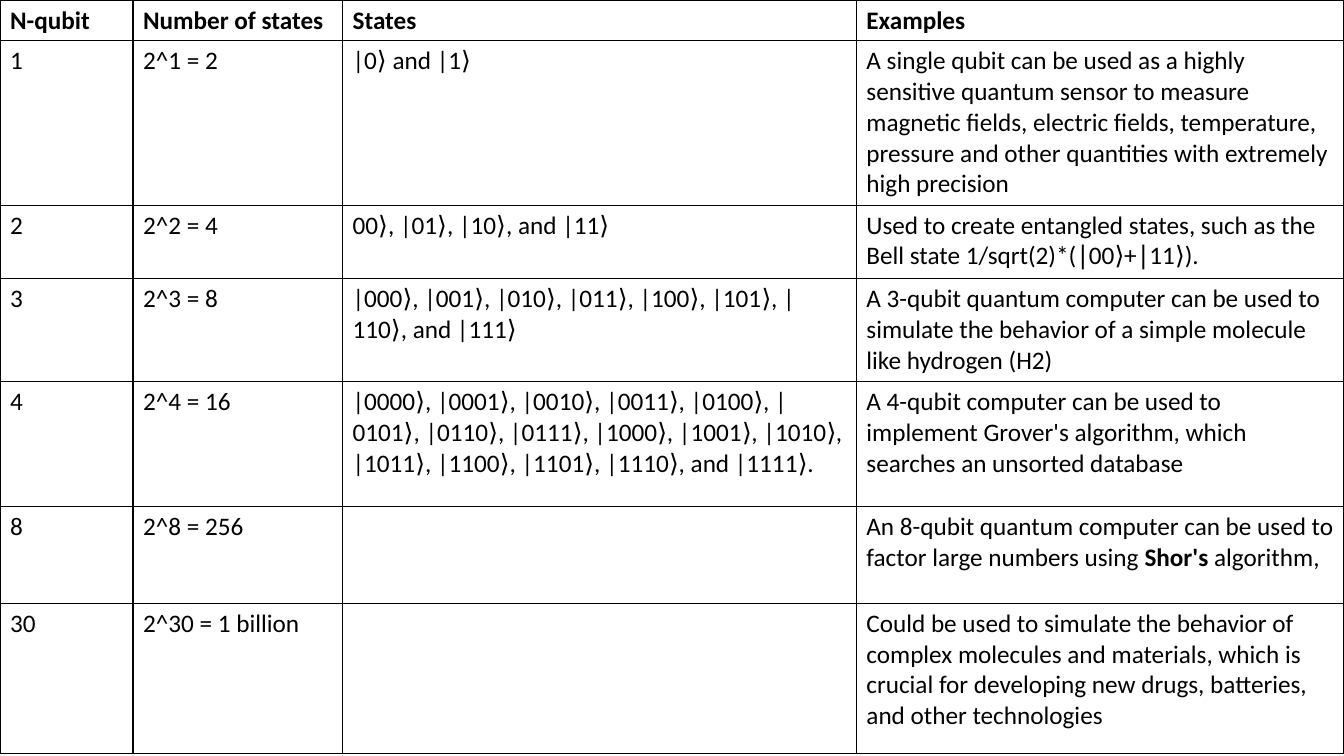
from dataclasses import dataclass

from lxml.etree import SubElement
from pptx import Presentation
from pptx.dml.color import RGBColor
from pptx.oxml.ns import qn
from pptx.util import Inches, Pt


@dataclass(frozen=True)
class Theme:
    font: str = "Calibri"
    size: int = 18
    ink: str = "000000"
    border: int = 1


THEME = Theme()
COLUMN_WIDTHS = [1.32, 2.08, 5.1, 4.84]
ROW_HEIGHTS = [0.4, 1.63, 0.73, 1.02, 1.24, 0.96, 1.49]

# Text between ** marks is bold
QUBIT_ROWS = [
    ["**N-qubit**", "**Number of states**", "**States**", "**Examples**"],
    ["1", "2^1 = 2", "|0⟩ and |1⟩",
     "A single qubit can be used as a highly sensitive quantum sensor to measure "
     "magnetic fields, electric fields, temperature, pressure and other quantities "
     "with extremely high precision"],
    ["2", "2^2 = 4", "00⟩, |01⟩, |10⟩, and |11⟩",
     "Used to create entangled states, such as the Bell state 1/sqrt(2)*(∣00⟩+∣11⟩)."],
    ["3", "2^3 = 8", "|000⟩, |001⟩, |010⟩, |011⟩, |100⟩, |101⟩, |110⟩, and |111⟩",
     "A 3-qubit quantum computer can be used to simulate the behavior of a simple "
     "molecule like hydrogen (H2)"],
    ["4", "2^4 = 16",
     "|0000⟩, |0001⟩, |0010⟩, |0011⟩, |0100⟩, |0101⟩, |0110⟩, |0111⟩, "
     "|1000⟩, |1001⟩, |1010⟩, |1011⟩, |1100⟩, |1101⟩, |1110⟩, and |1111⟩.",
     "A 4-qubit computer can be used to implement Grover's algorithm, which "
     "searches an unsorted database"],
    ["8", "2^8 = 256", "",
     "An 8-qubit quantum computer can be used to factor large numbers using "
     "**Shor's **algorithm,"],
    ["30", "2^30 = 1 billion", "",
     "Could be used to simulate the behavior of complex molecules and materials, "
     "which is crucial for developing new drugs, batteries, and other technologies"],
]


def set_borders(cell):
    properties = cell._tc.get_or_add_tcPr()
    for side in ("a:lnL", "a:lnR", "a:lnT", "a:lnB"):
        line = SubElement(properties, qn(side), w=str(Pt(THEME.border)))
        fill = SubElement(line, qn("a:solidFill"))
        SubElement(fill, qn("a:srgbClr"), val=THEME.ink)


def write_cell(cell, text):
    set_borders(cell)
    cell.fill.background()
    paragraph = cell.text_frame.paragraphs[0]
    paragraph.font.name = THEME.font
    paragraph.font.size = Pt(THEME.size)
    paragraph.font.color.rgb = RGBColor.from_string(THEME.ink)
    for index, part in enumerate(text.split("**")):
        if part:
            run = paragraph.add_run()
            run.text = part
            run.font.bold = index % 2 == 1


def add_qubit_table(slide, left, top, width, height):
    table = slide.shapes.add_table(
        len(QUBIT_ROWS), len(COLUMN_WIDTHS),
        Inches(left), Inches(top), Inches(width), Inches(height)).table
    table.first_row = False
    table.horz_banding = False
    for column, share in zip(table.columns, COLUMN_WIDTHS):
        column.width = Inches(width * share / sum(COLUMN_WIDTHS))
    for row, share, texts in zip(table.rows, ROW_HEIGHTS, QUBIT_ROWS):
        row.height = Inches(height * share / sum(ROW_HEIGHTS))
        for cell, text in zip(row.cells, texts):
            write_cell(cell, text)


def main():
    deck = Presentation()
    deck.slide_width, deck.slide_height = Inches(13.33), Inches(7.5)
    slide = deck.slides.add_slide(deck.slide_layouts[6])
    # Qubit table fills the slide
    add_qubit_table(slide, 0, 0, 13.33, 7.47)
    deck.save("out.pptx")


if __name__ == "__main__":
    main()
